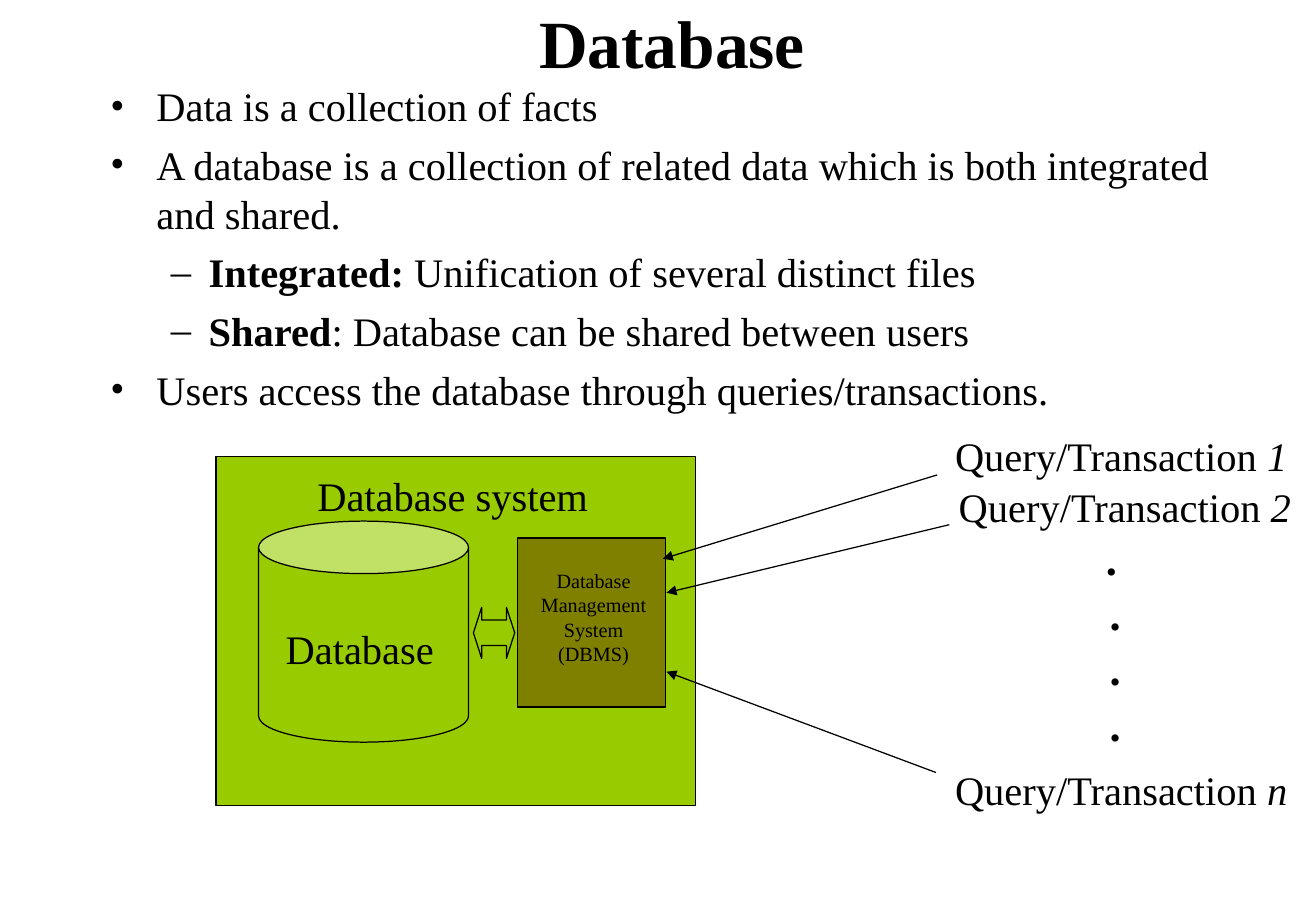
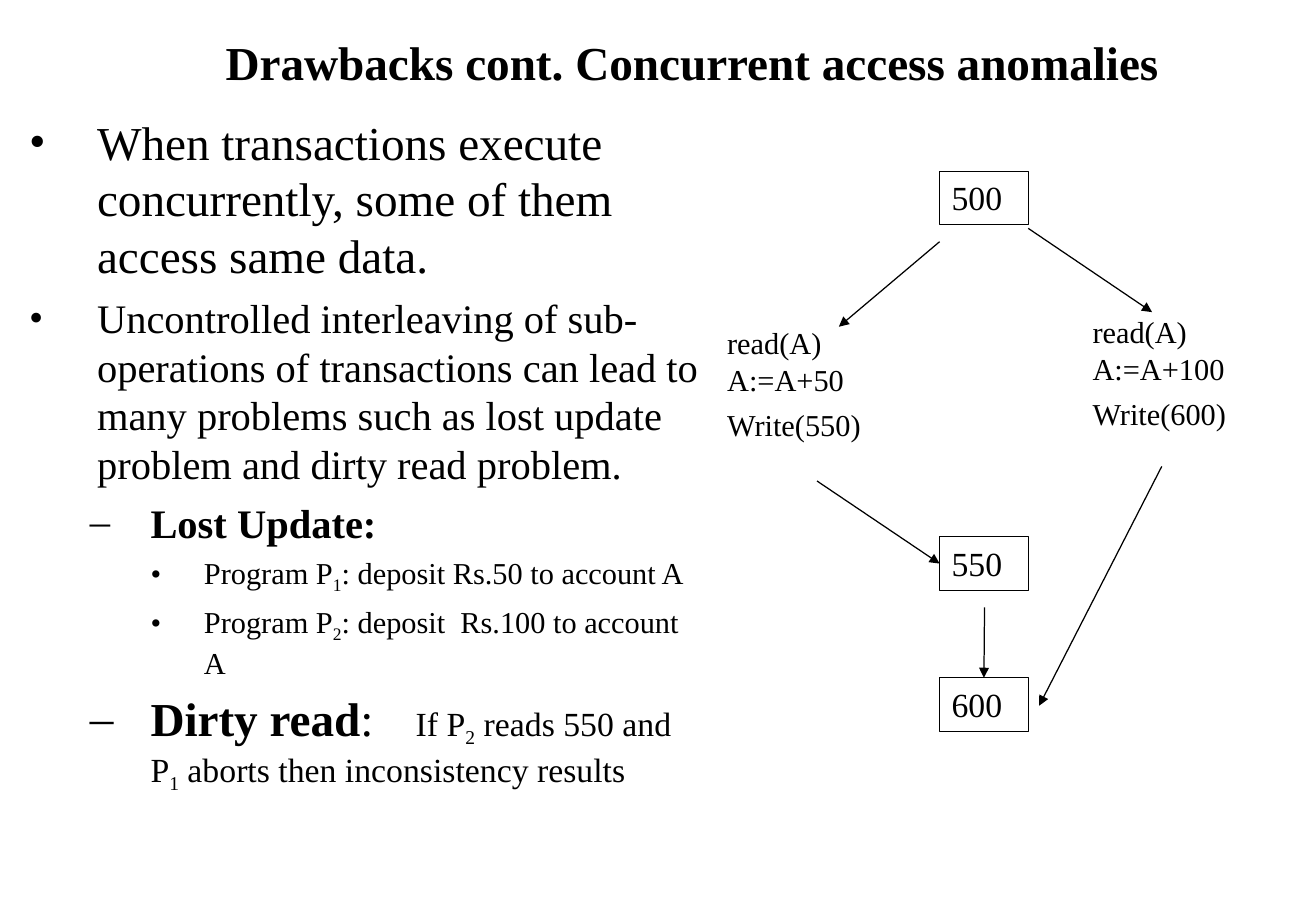
from pptx import Presentation
from pptx.dml.color import RGBColor
from pptx.enum.shapes import MSO_CONNECTOR, MSO_SHAPE
from pptx.enum.text import MSO_ANCHOR as ANCHOR, PP_ALIGN as ALIGN
from pptx.oxml.ns import qn
from pptx.util import Inches, Pt
from lxml.etree import SubElement

FONT = "Times New Roman"
INK = "000000"
SYSTEM_GREEN = "99CC00"
DBMS_OLIVE = "808000"
INSETS = (0.1, 0.05, 0.1, 0.05)
NO_INSETS = (0, 0, 0, 0)


def color(hex_code):
    return RGBColor.from_string(hex_code)


def format_run(run, size, style=""):
    font = run.font
    font.name = FONT
    font.size = Pt(size)
    font.color.rgb = color(INK)
    font.bold = "b" in style
    font.italic = "i" in style
    if "s" in style:
        run._r.get_or_add_rPr().set("baseline", "-25000")
    if "w" in style:
        run._r.get_or_add_rPr().set("spc", "2000")


def write_runs(paragraph, runs, size):
    for text, style, *own_size in runs:
        run = paragraph.add_run()
        run.text = text
        format_run(run, own_size[0] if own_size else size, style)


def set_frame(frame, insets=INSETS, anchor=ANCHOR.TOP, wrap=True):
    frame.word_wrap = wrap
    frame.vertical_anchor = anchor
    (frame.margin_left, frame.margin_top,
     frame.margin_right, frame.margin_bottom) = map(Inches, insets)


def write_lines(frame, lines, size, align=ALIGN.CENTER, style="", gaps=()):
    frame.text = "\n".join(lines)
    for paragraph in frame.paragraphs:
        paragraph.alignment = align
        for run in paragraph.runs:
            format_run(run, size, style)
    for index, gap in gaps:
        frame.paragraphs[index].space_before = Pt(gap)


def add_frame(slide, box, **layout):
    frame = slide.shapes.add_textbox(*map(Inches, box)).text_frame
    set_frame(frame, **layout)
    return frame


def add_block(slide, kind, box, fill=None):
    block = slide.shapes.add_shape(kind, *map(Inches, box))
    block.shadow.inherit = False
    if fill:
        block.fill.solid()
        block.fill.fore_color.rgb = color(fill)
    else:
        block.fill.background()
    block.line.color.rgb = color(INK)
    block.line.width = Pt(0.75)
    return block


def add_arrow(slide, start, end, target=None, site=0):
    arrow = slide.shapes.add_connector(
        MSO_CONNECTOR.STRAIGHT, *map(Inches, (*start, *end)))
    arrow.line.color.rgb = color(INK)
    arrow.line.width = Pt(0.75)
    SubElement(arrow.line._get_or_add_ln(), qn("a:tailEnd"), type="triangle")
    SubElement(arrow._element.spPr, qn("a:effectLst"))
    if target is not None:
        arrow.end_connect(target, site)


def add_title(slide, box, text, size):
    write_lines(add_frame(slide, box, anchor=ANCHOR.MIDDLE), [text], size, style="b")


def add_bullet(paragraph, level, indents):
    margin, hanging = indents[level]
    paragraph.level = level
    properties = paragraph._p.get_or_add_pPr()
    properties.set("marL", str(Inches(margin)))
    properties.set("indent", str(-Inches(hanging)))
    bullet_color = SubElement(properties, qn("a:buClr"))
    SubElement(bullet_color, qn("a:srgbClr"), val=INK)
    SubElement(properties, qn("a:buFont"), typeface=FONT)
    SubElement(properties, qn("a:buChar"), char="•–•"[level])


def add_outline(slide, box, items, indents, insets):
    frame = add_frame(slide, box, insets=insets)
    for index, (level, size, gap, runs) in enumerate(items):
        paragraph = frame.add_paragraph() if index else frame.paragraphs[0]
        add_bullet(paragraph, level, indents)
        if index:
            paragraph.space_before = Pt(gap)
        write_runs(paragraph, runs, size)


def add_database_system(slide, box):
    left, top, width, height = box
    parts = [
        (MSO_SHAPE.RECTANGLE, box, SYSTEM_GREEN, ["Database system"], 24,
         (0.1, 0.12, 0.15, 0.05), ANCHOR.TOP),
        (MSO_SHAPE.RECTANGLE, (left + 2.48, top + 0.67, 1.22, 1.39), DBMS_OLIVE,
         ["Database", "Management", "System (DBMS)"], 12,
         (0.16, 0.05, 0.12, 0.14), ANCHOR.MIDDLE),
        (MSO_SHAPE.CAN, (left + 0.35, top + 0.53, 1.73, 1.82), SYSTEM_GREEN,
         ["Database"], 24, (0.1, 0.1, 0.16, 0.04), ANCHOR.MIDDLE),
    ]
    for kind, part_box, fill, lines, size, insets, anchor in parts:
        part = add_block(slide, kind, part_box, fill)
        set_frame(part.text_frame, insets, anchor)
        write_lines(part.text_frame, lines, size)
    exchange = add_block(slide, MSO_SHAPE.LEFT_RIGHT_ARROW,
                         (left + 2.12, top + 1.24, 0.34, 0.42))
    exchange.adjustments[1] = 0.2


def add_queries(slide, box):
    left, top, width, height = box
    queries = [
        ("1", 0, 0, (-0.04, 0.41), (-2.3, 1.1)),
        ("2", 0.03, 0.42, (0.06, 0.82), (-2.27, 1.38)),
        ("n", 0, height - 0.5, (-0.05, 2.86), (-2.27, 2.03)),
    ]
    for number, shift, drop, start, end in queries:
        frame = add_frame(slide, (left + shift, top + drop, width, 0.5), wrap=False)
        frame.paragraphs[0].alignment = ALIGN.CENTER
        write_runs(frame.paragraphs[0],
                   [("Query/Transaction ", ""), (number, "i")], 24)
        add_arrow(slide, *((left + x, top + y) for x, y in (start, end)))
    dots = add_frame(slide, (left + 1.16, top + 0.99, 0.47, 1.77),
                     anchor=ANCHOR.MIDDLE)
    write_lines(dots, ["•"] + [" •"] * 3, 18, gaps=[(i, 11.2) for i in (1, 2, 3)])


def add_balance(slide, box, amount):
    balance = add_block(slide, MSO_SHAPE.RECTANGLE, box)
    set_frame(balance.text_frame)
    write_lines(balance.text_frame, [amount], 20, ALIGN.LEFT)
    return balance


def add_lost_update(slide, box):
    left, top, width, height = box
    first, second, third = [
        add_balance(slide, (left + 1.75, top + drop, 0.73, 0.44), amount)
        for amount, drop in (("500", 0), ("550", 3.01), ("600", 4.17))]
    for deposit, written, x, y in (("50", "550", 0, 1.26),
                                   ("100", "600", 3.01, 1.17)):
        steps = add_frame(slide, (left + x, top + y, 1.5, 1), insets=NO_INSETS)
        write_lines(steps, ["read(A)", f"A:=A+{deposit}", f"Write({written})"],
                    18, ALIGN.LEFT, gaps=[(2, 5.5)])
    arrows = [
        ((1.75, 0.58), (0.92, 1.28), None, 0),
        ((2.48, 0.47), (3.5, 1.16), None, 0),
        ((0.74, 2.55), (1.75, 3.23), second, 1),
        ((3.58, 2.43), (2.57, 4.4), None, 0),
        ((2.12, 3.59), (2.12, 4.17), third, 0),
    ]
    for start, end, target, site in arrows:
        add_arrow(slide, *((left + x, top + y) for x, y in (start, end)),
                  target, site)


def build_database(slide):
    add_title(slide, (0.93, 0, 9.21, 0.68), "Database", 40)
    add_outline(slide, (0.81, 0.62, 9.48, 6.62), [
        (0, 24, 6, [("Data is a collection of facts", "")]),
        (0, 24, 6, [("A database is a collection of related data which is "
                     "both integrated and shared.", "")]),
        (1, 24, 6, [("Integrated:", "b"),
                    (" Unification of several distinct files", "")]),
        (1, 24, 6, [("Shared", "b"),
                    (": Database can be shared between users", "")]),
        (0, 24, 6, [("Users access the database through "
                     "queries/transactions.", "")]),
    ], [(0.38, 0.38), (0.81, 0.31)], INSETS)
    add_database_system(slide, (1.78, 3.76, 3.95, 2.87))
    add_queries(slide, (7.76, 3.5, 2.95, 3.25))


def build_anomalies(slide):
    add_title(slide, (1.05, 0.19, 9.3, 0.63),
              "Drawbacks cont. Concurrent access anomalies", 28)
    add_outline(slide, (0.24, 0.88, 5.53, 6.39), [
        (0, 28, 7, [("When transactions execute concurrently, some of them "
                     "access same data.", "")]),
        (0, 24, 6, [("Uncontrolled interleaving of sub-operations of "
                     "transactions can lead to many problems such as lost "
                     "update problem and dirty read problem.", "")]),
        (1, 24, 6, [("Lost Update:", "b")]),
        (2, 18, 4.5, [("Program P", ""), ("1", "s"),
                      (": deposit Rs.50 to account A", "")]),
        (2, 18, 4.5, [("Program P", ""), ("2", "s"),
                      (": deposit  Rs.100 to account A", "")]),
        (1, 20, 5, [("Dirty read", "b", 28), (":", "", 28), (" ", "w"),
                    ("If P", ""), ("2", "s"), (" reads 550 and P", ""),
                    ("1", "s"), (" aborts then inconsistency results", "")]),
    ], [(0.56, 0.56), (1, 0.5), (1.44, 0.44)], (0, 0.05, 0, 0.05))
    add_lost_update(slide, (5.99, 1.41, 4.51, 4.61))


def main():
    deck = Presentation()
    deck.slide_width, deck.slide_height = Inches(10.84), Inches(7.5)
    blank = deck.slide_layouts[6]
    for build in (build_database, build_anomalies):
        build(deck.slides.add_slide(blank))
    deck.save("out.pptx")


if __name__ == "__main__":
    main()
